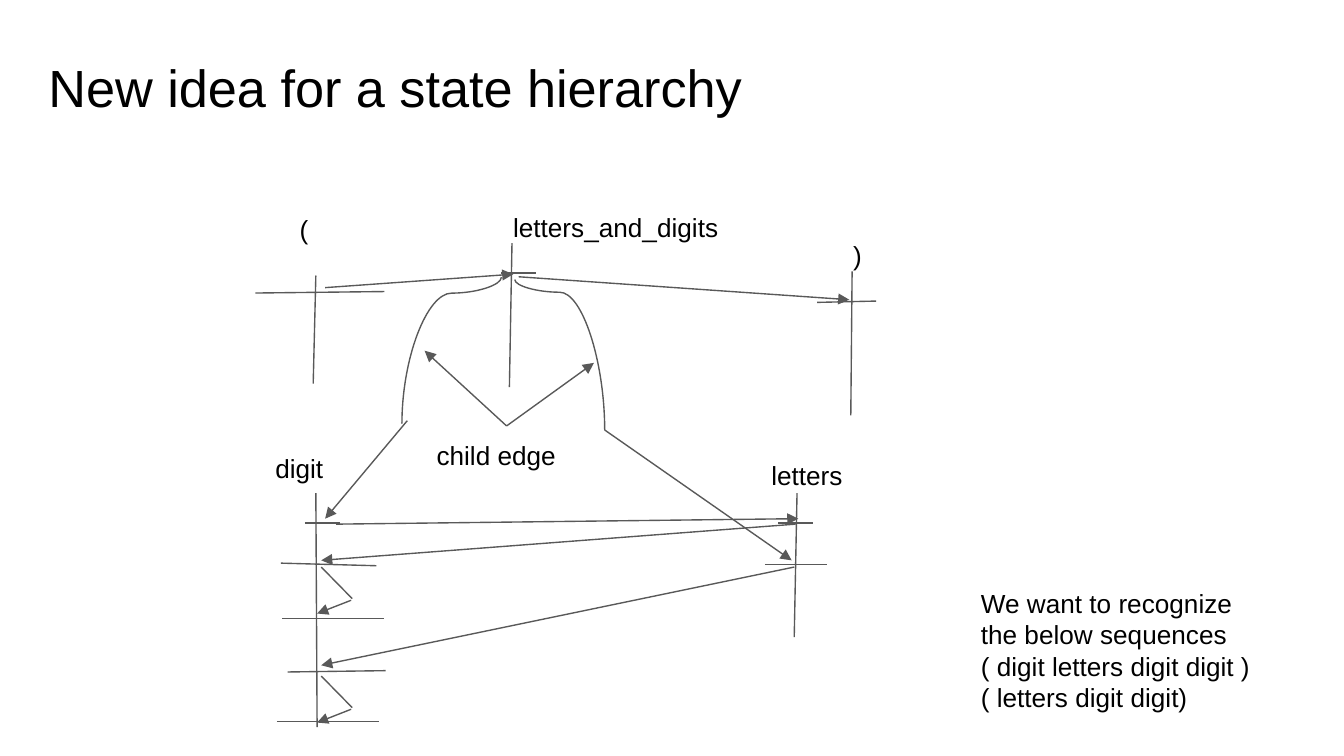
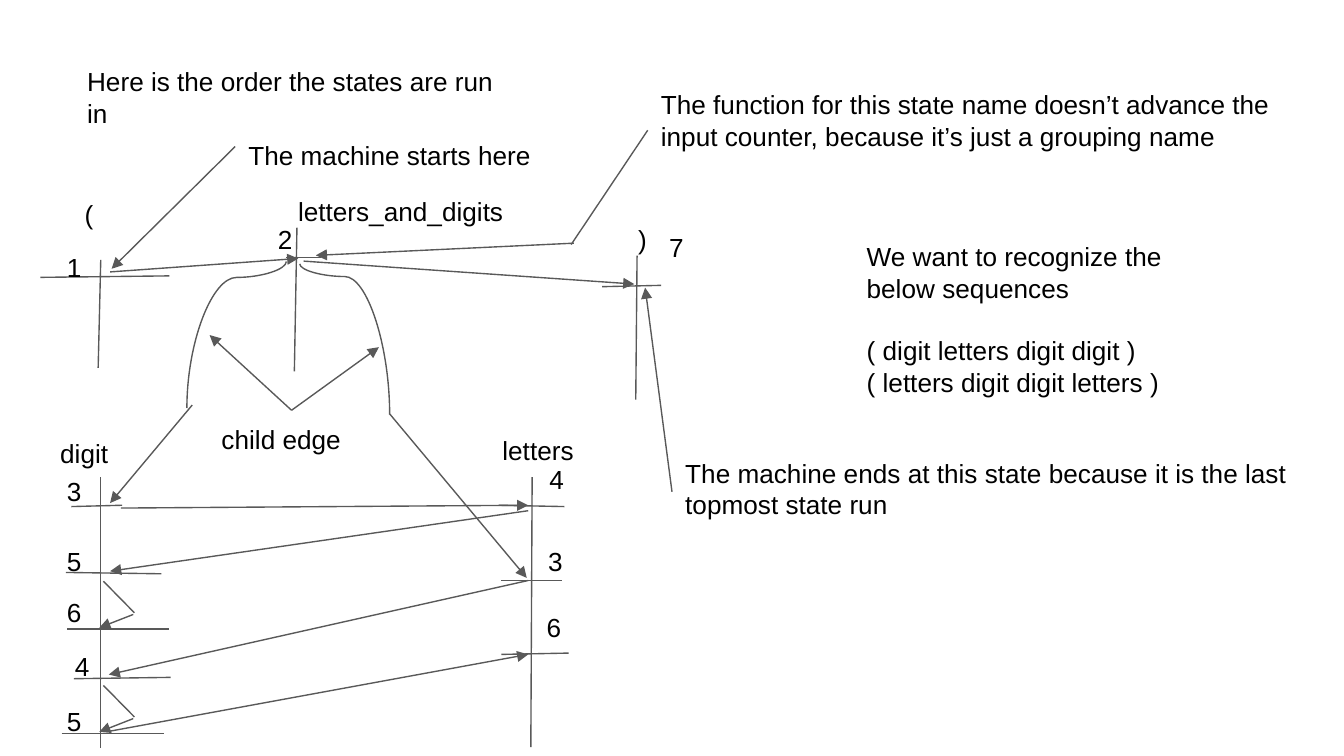
from lxml.etree import SubElement
from pptx import Presentation
from pptx.dml.color import RGBColor
from pptx.enum.shapes import MSO_CONNECTOR
from pptx.enum.text import MSO_ANCHOR, PP_ALIGN
from pptx.oxml.ns import qn
from pptx.util import Pt

COLORS = {"text": "000000", "line": "595959"}
FONT = "Arial"
TITLE_ONLY, BLANK = 5, 6


class Deck:
    def __init__(self):
        self.prs = Presentation()
        self.prs.slide_width, self.prs.slide_height = Pt(720), Pt(405)
        self.slide = None

    def start(self, layout):
        self.slide = self.prs.slides.add_slide(self.prs.slide_layouts[layout])

    def fill(self, frame, text, size, anchor):
        frame.word_wrap = True
        frame.vertical_anchor = anchor
        frame.margin_left = frame.margin_right = Pt(7.2)
        frame.margin_top = frame.margin_bottom = Pt(7.2)
        frame.text = text
        for para in frame.paragraphs:
            para.alignment = PP_ALIGN.LEFT
            para.font.name, para.font.size = FONT, Pt(size)
            para.font.color.rgb = RGBColor.from_string(COLORS["text"])

    def title(self, text, x, y, w, h):
        shape = self.slide.shapes.title
        shape.left, shape.top, shape.width, shape.height = map(Pt, (x, y, w, h))
        self.fill(shape.text_frame, text, 28, MSO_ANCHOR.MIDDLE)

    def label(self, text, x, y, w=28.8, h=30.2):
        box = self.slide.shapes.add_textbox(*map(Pt, (x, y, w, h)))
        self.fill(box.text_frame, text, 14, MSO_ANCHOR.TOP)
        return box.text_frame.paragraphs

    def line(self, x1, y1, x2, y2, kind=MSO_CONNECTOR.STRAIGHT):
        link = self.slide.shapes.add_connector(kind, *map(Pt, (x1, y1, x2, y2)))
        link.line.width = Pt(0.75)
        link.line.color.rgb = RGBColor.from_string(COLORS["line"])
        SubElement(link.element.spPr, qn("a:effectLst"))
        return link

    def arrow(self, *ends):
        link = self.line(*ends)
        SubElement(link.element.spPr.find(qn("a:ln")), qn("a:tailEnd"), type="triangle")

    def curve(self, x1, y1, x2, y2, bend):
        """Draw an S-curve that leaves and arrives vertically; bend is in 1/100000."""
        long, wide = (y2 - y1) / 2, abs(x2 - x1) / 2
        mid_x, mid_y = (x1 + x2) / 2, (y1 + y2) / 2
        side, turn = (1, 270) if x2 > x1 else (-1, 90)
        link = self.line(mid_x + side * long, mid_y - wide,
                         mid_x - side * long, mid_y + wide, MSO_CONNECTOR.CURVE)
        props = link.element.spPr
        props.find(qn("a:xfrm")).set("rot", str(turn * 60000))
        geom = props.find(qn("a:prstGeom"))
        guides = geom.find(qn("a:avLst"))
        if guides is None:
            guides = SubElement(geom, qn("a:avLst"))
        SubElement(guides, qn("a:gd"), name="adj1", fmla=f"val {bend}")

    def hook(self, x, y):
        """Draw the bent arrow from one digit state to the next."""
        self.line(x, y, x + 16.6, y + 16.9)
        self.arrow(x + 16, y + 17.8, x - 2.2, y + 24.9)

    def tree(self, dx=0, dy=0):
        """Draw the top states and the child edges, moved by dx and dy."""
        def move(ends):
            return [v + (dx, dy)[i % 2] for i, v in enumerate(ends)]

        for ends in (
            (169.2, 147.6, 167.8, 205.5), (136.8, 157, 205.9, 156.2),    # (
            (274.3, 130.3, 272.9, 207.4), (268.6, 146.2, 287.3, 146.2),  # group
            (456.5, 145.4, 455.8, 222.5), (437.8, 162, 469.4, 161.3),    # )
        ):
            self.line(*move(ends))
        for ends in (
            (174.2, 154.1, 275, 146.9), (277.9, 148.3, 455, 160.6),
            (271.4, 228.2, 227.5, 187.9), (271.4, 228.2, 318.2, 194.4),
            (218.2, 225.4, 174.2, 277.9),
        ):
            self.arrow(*move(ends))
        self.curve(*move((268.6, 148.5, 215.3, 227)), 10900)
        self.curve(*move((275.8, 149.8, 324, 230.6)), 8400)
        for text, x, y, w in (
            ("(", 153.4, 107.3, 28.8), (")", 450, 121, 28.8),
            ("letters_and_digits", 267.8, 105.8, 146.2),
            ("child edge", 226.8, 228.2, 88.6), ("digit", 140.4, 235.4, 45.4),
        ):
            self.label(text, *move((x, y)), w)

    def draw(self, lines, arrows, hooks):
        for method, rows in ((self.line, lines), (self.arrow, arrows), (self.hook, hooks)):
            for row in rows:
                method(*row)


def idea(deck):
    deck.start(TITLE_ONLY)
    deck.title("New idea for a state hierarchy", 18.7, 14.4, 406.8, 64.1)
    deck.tree()
    deck.label("letters", 406.1, 239, 77.8)
    deck.label("We want to recognize the below sequences\v( digit letters digit digit )\n"
               "( letters digit digit)", 518.4, 307.4, 170.6, 77)
    deck.draw(
        lines=(
            (169.2, 264.2, 169.9, 389.5), (163.4, 280.1, 182.2, 280.1),
            (150.5, 301.7, 201.6, 303.1), (151.2, 331.2, 205.9, 331.2),
            (154.1, 360, 206.6, 359.3), (148.3, 386.6, 203, 386.6),
            (427, 264.2, 425.5, 341.3), (416.9, 280.1, 435.6, 280.1),
            (409.7, 302.4, 442.8, 302.4),
        ),
        arrows=(
            (180, 280.8, 427.7, 277.9), (426.2, 280.8, 172.1, 300.2),
            (324, 230.4, 424.1, 300.2), (425.5, 303.8, 172.1, 356.4),
        ),
        hooks=((172.1, 303.8), (172.1, 362.2)),
    )


def order(deck):
    deck.start(BLANK)
    deck.tree(-115.2, -8.4)
    deck.draw(
        lines=(
            (54, 255.6, 54, 401), (38.2, 271.4, 65.5, 270.7),
            (35.3, 306.7, 86.4, 307.4), (36, 337, 90.7, 337),
            (39.6, 363.6, 91.4, 362.9), (33.1, 393.1, 87.8, 393.1),
            (285.1, 255.6, 284.4, 400.3), (267.1, 270.7, 302.4, 271.4),
            (268.6, 311, 301, 311), (268.6, 350.6, 304.6, 349.9),
            (347, 69.8, 306, 131),
        ),
        arrows=(
            (64.8, 272.2, 283, 270.7), (283, 273.6, 59, 306),
            (208.8, 221.8, 282.2, 309.6), (283, 311, 58.3, 361.4),
            (59, 391.7, 283, 350.6), (307.4, 130.3, 169.2, 136.8),
            (360, 263.5, 345.6, 154.1), (126, 78.5, 59.8, 144),
        ),
        hooks=((55.4, 311.4), (55.4, 367.2)),
    )
    for text, x, y, w, h in (
        ("letters", 262.1, 225.4, 54.7, 21.6),
        ("Here is the order the states are run in", 39.6, 28.1, 233.3, 41),
        ("The machine starts here", 126, 67.7, 170.6, 21.6),
        ("The function for this state name doesn’t advance the input counter, "
         "because it’s just a grouping name", 347, 40.3, 362.2, 58.3),
        ("The machine ends at this state because it is the last topmost state run",
         360, 237.6, 349.2, 51.1),
    ):
        deck.label(text, x, y, w, h)
    goal = deck.label("We want to recognize the below sequences\n( digit letters digit digit )\n"
                      "( letters digit digit letters )", 457.2, 121.7, 176.4, 106.6)
    goal[1].space_before = Pt(16.8)
    for step, x, y in (
        (1, 28.8, 127.4), (2, 141.8, 112.3), (7, 351.4, 116.6),
        (3, 28.8, 247.7), (5, 28.8, 285.1), (6, 28.8, 312.5),
        (4, 33.1, 341.3), (5, 28.8, 370.8),
        (4, 287.3, 241.2), (3, 286.6, 285.1), (6, 285.8, 320.4),
    ):
        deck.label(str(step), x, y)


def main():
    deck = Deck()
    idea(deck)
    order(deck)
    deck.prs.save("out.pptx")


if __name__ == "__main__":
    main()
